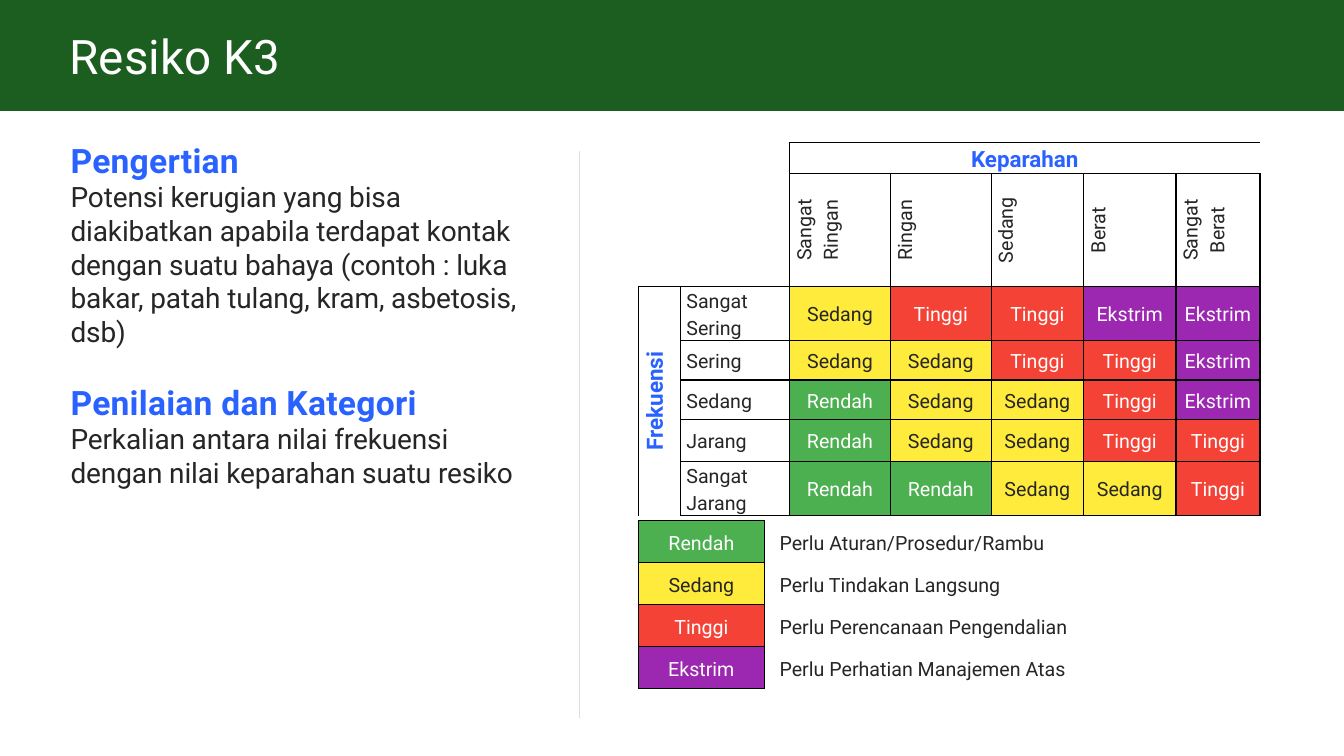
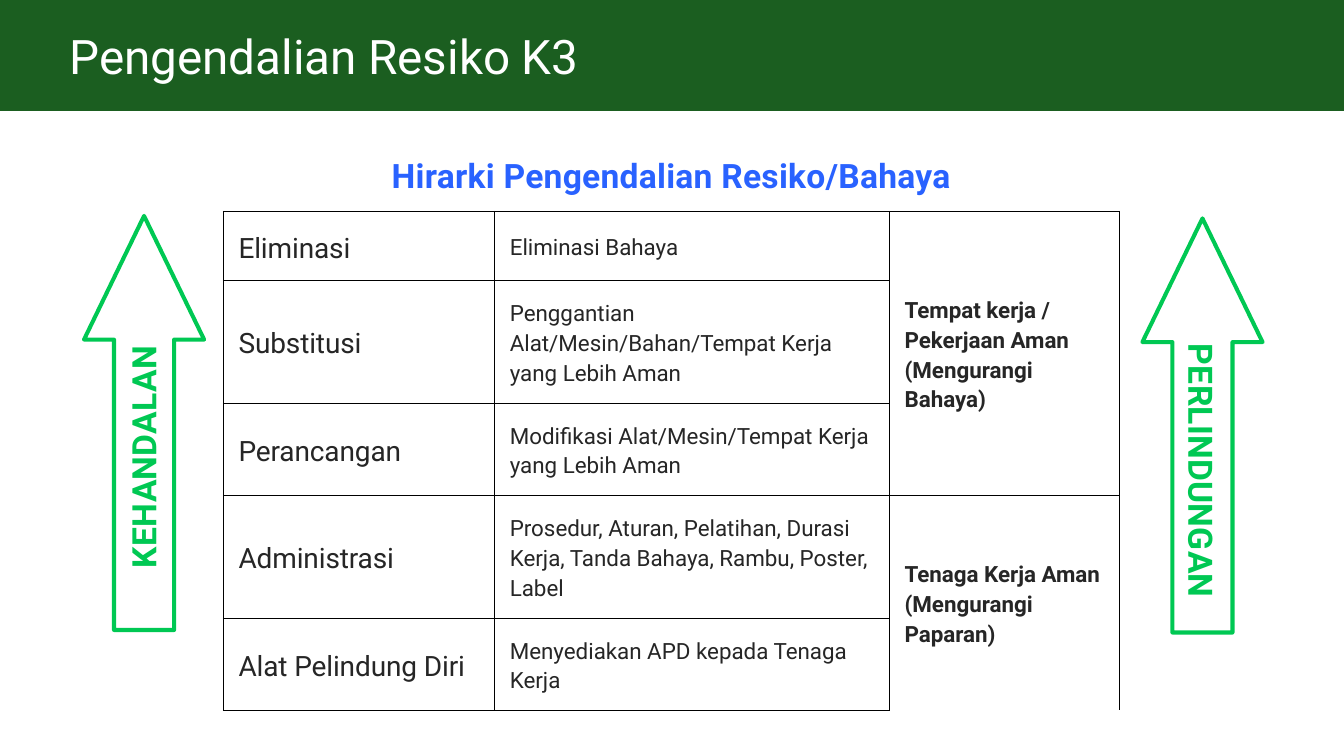
from dataclasses import dataclass

from lxml import etree
from pptx import Presentation
from pptx.dml.color import RGBColor
from pptx.enum.shapes import MSO_CONNECTOR, MSO_SHAPE
from pptx.enum.text import MSO_ANCHOR, MSO_AUTO_SIZE, PP_ALIGN
from pptx.oxml.ns import qn
from pptx.util import Inches, Pt

LEFT, MID = PP_ALIGN.LEFT, PP_ALIGN.CENTER
TOP, CENTER = MSO_ANCHOR.TOP, MSO_ANCHOR.MIDDLE
FIXED = MSO_AUTO_SIZE.NONE
RECT, ARROW = MSO_SHAPE.RECTANGLE, MSO_SHAPE.UP_ARROW
LINE = MSO_CONNECTOR.STRAIGHT
COLS, ROWS = 160, 90  # one grid step is 1/12 inch
PLAIN = "{2D5ABB26-0587-4C30-8999-92F81FD0307C}"  # table style without grid


@dataclass(frozen=True)
class Theme:
    font: str = "Roboto"
    band: str = "1B5E20"
    white: str = "FFFFFF"
    ink: str = "262626"
    blue: str = "2962FF"
    lime: str = "00C853"
    rule: str = "DDDDDD"
    edge: str = "000000"
    title: int = 34
    head: int = 24
    body: int = 20
    note: int = 16
    small: int = 14


T = Theme()
LEVELS = {  # risk level: fill, text colour, action
    "Rendah": ("4CAF50", T.white, "Perlu Aturan/Prosedur/Rambu"),
    "Sedang": ("FFEB3B", T.ink, "Perlu Tindakan Langsung"),
    "Tinggi": ("F44336", T.white, "Perlu Perencanaan Pengendalian"),
    "Ekstrim": ("9C27B0", T.white, "Perlu Perhatian Manajemen Atas"),
}
HEAD = dict(size=T.head, ink=T.blue, bold=True, track=0.2)
BODY = dict(size=T.body, track=-0.1)


def step(n):
    return Inches(n / 12)


def rgb(code):
    return RGBColor.from_string(code)


def put(frame, text, size=T.small, ink=T.ink, bold=False, align=LEFT,
        lead=None, gap=0, track=0, bare=False):
    """Append one paragraph per line of text; bare drops the list bullet."""
    for line in text.split("\n"):
        para = frame.paragraphs[0] if not frame.text else frame.add_paragraph()
        if bare:
            props = para._p.get_or_add_pPr()
            props.set("marL", "0")
            props.set("indent", "0")
            etree.SubElement(props, qn("a:buNone"))
        para.alignment = align
        para.space_before = Pt(gap)
        if lead:
            para.line_spacing = lead
        run = para.add_run()
        run.text = line
        font = run.font
        font.name, font.size, font.bold = T.font, Pt(size), bold
        font.color.rgb = rgb(ink)
        if track:
            run._r.get_or_add_rPr().set("spc", str(round(track * 100)))


def trim(frame):
    """Make a text frame wrap, with no insets and no fitting."""
    frame.word_wrap, frame.auto_size = True, FIXED
    frame.vertical_anchor = TOP
    frame.margin_left = frame.margin_right = 0
    frame.margin_top = frame.margin_bottom = 0
    return frame


def border(cell, sides):
    props = cell._tc.get_or_add_tcPr()
    for side in sides:
        line = etree.SubElement(props, qn("a:ln" + side), w=str(Pt(1)))
        fill = etree.SubElement(line, qn("a:solidFill"))
        etree.SubElement(fill, qn("a:srgbClr"), val=T.edge)


class Deck:
    def __init__(self):
        self.file = Presentation()
        self.file.slide_width, self.file.slide_height = step(COLS), step(ROWS)

    def page(self, title, layout):
        """Start a slide with its green band and title."""
        self.slide = self.file.slides.add_slide(self.file.slide_layouts[layout])
        band = self.shape(RECT, 0, 0, COLS, 13.2)
        band.fill.solid()
        band.fill.fore_color.rgb = rgb(T.band)
        band.line.fill.background()
        self.slide.shapes._spTree.insert(2, band._element)
        frame = self.place(self.slide.shapes.title, 8.3, 3.25, 149, 6.8)
        put(frame, title, size=T.title, ink=T.white)

    def place(self, box, x, y, w, h):
        box.left, box.top, box.width, box.height = map(step, (x, y, w, h))
        return trim(box.text_frame)

    def body(self, x, y, w, h):
        return self.place(self.slide.placeholders[1], x, y, w, h)

    def shape(self, kind, x, y, w, h):
        item = self.slide.shapes.add_shape(kind, *map(step, (x, y, w, h)))
        item.shadow.inherit = False
        return item

    def rule(self, x, top, end):
        line = self.slide.shapes.add_connector(
            LINE, step(x), step(top), step(x), step(end))
        line.line.color.rgb, line.line.width = rgb(T.rule), Pt(0.5)
        etree.SubElement(line._element.spPr, qn("a:effectLst"))

    def arrow(self, x, y):
        item = self.shape(ARROW, x, y, 14.3, 49.3)
        item.adjustments[0], item.adjustments[1] = 0.5, 1.03
        item.fill.background()
        item.line.color.rgb, item.line.width = rgb(T.lime), Pt(2.88)
        etree.SubElement(item.line._get_or_add_ln(), qn("a:round"))

    def label(self, text, turn, x, y, w, h):
        """Add turned text beside or inside an arrow."""
        box = self.slide.shapes.add_textbox(*map(step, (x, y, w, h)))
        frame = trim(box.text_frame)
        frame._txBody.bodyPr.set("vert", turn)
        put(frame, text, align=MID, lead=Pt(25.3), **{**HEAD, "ink": T.lime})

    def table(self, x, y, cols, rows):
        size = map(step, (x, y, sum(cols), sum(rows)))
        self.grid = self.slide.shapes.add_table(len(rows), len(cols), *size).table
        self.grid.first_row = self.grid.horz_banding = False
        self.grid._tbl.tblPr.find(qn("a:tableStyleId")).text = PLAIN
        for col, wide in zip(self.grid.columns, cols):
            col.width = step(wide)
        for row, high in zip(self.grid.rows, rows):
            row.height = step(high)

    def cell(self, row, col, text="", span=(1, 1), fill=None, lines=True,
             pad=(0.06, 0), turn=None, lead=1.15, **form):
        """Fill a cell; span is rows and columns, pad is side and top inset."""
        cell = self.grid.cell(row, col)
        end, last = row + span[0] - 1, col + span[1] - 1
        if span != (1, 1):
            cell.merge(self.grid.cell(end, last))
        for r in range(row, end + 1):
            for c in range(col, last + 1):
                outer = (("L", c == col), ("R", c == last),
                         ("T", r == row), ("B", r == end))
                if lines:
                    border(self.grid.cell(r, c), [s for s, on in outer if on])
        if fill:
            cell.fill.solid()
            cell.fill.fore_color.rgb = rgb(fill)
        else:
            cell.fill.background()
        cell.vertical_anchor = CENTER
        cell.margin_left = cell.margin_right = Inches(pad[0])
        cell.margin_top = cell.margin_bottom = Inches(pad[1])
        if turn:
            cell._tc.get_or_add_tcPr().set("vert", turn)
        put(cell.text_frame, text, lead=lead, **form)

    def level(self, row, col, name):
        fill, ink, _ = LEVELS[name]
        self.cell(row, col, name, fill=fill, ink=ink, align=MID)


def risk(deck):
    deck.page("Resiko K3", 1)
    frame = deck.body(8.4, 16.6, 54.6, 42)
    put(frame, "Pengertian", bare=True, **HEAD)
    put(frame, "Potensi kerugian yang bisa diakibatkan apabila terdapat kontak "
        "dengan suatu bahaya (contoh : luka bakar, patah tulang, kram, "
        "asbetosis, dsb)", bare=True, **BODY)
    put(frame, "Penilaian dan Kategori", gap=24, bare=True, **HEAD)
    put(frame, "Perkalian antara nilai frekuensi dengan nilai keparahan "
        "suatu resiko", bare=True, **BODY)
    deck.rule(69, 18, 85.5)

    axis = dict(size=T.note, ink=T.blue, bold=True, align=MID)
    deck.table(76, 17, (5, 13, 12, 12, 11, 11, 10),
               (3.7, 13.4, 6.45, 4.7, 4.7, 5, 6.45))
    deck.cell(0, 0, span=(2, 2), lines=False)
    deck.cell(0, 2, "Keparahan", span=(1, 5), **axis)
    deck.cell(2, 0, "Frekuensi", span=(5, 1), turn="vert270", **axis)
    harm = ("Sangat\nRingan", "Ringan", "Sedang", "Berat", "Sangat\nBerat")
    for col, name in enumerate(harm, 2):
        deck.cell(1, col, name, turn="vert270", align=MID)
    odds = {
        "Sangat Sering": "Sedang Tinggi Tinggi Ekstrim Ekstrim",
        "Sering": "Sedang Sedang Tinggi Tinggi Ekstrim",
        "Sedang": "Rendah Sedang Sedang Tinggi Ekstrim",
        "Jarang": "Rendah Sedang Sedang Tinggi Tinggi",
        "Sangat Jarang": "Rendah Rendah Sedang Sedang Tinggi",
    }
    for row, (name, marks) in enumerate(odds.items(), 2):
        deck.cell(row, 1, name)
        for col, mark in enumerate(marks.split(), 2):
            deck.level(row, col, mark)

    deck.table(76, 62, (15, 59), [5] * len(LEVELS))
    for row, (name, (_, _, act)) in enumerate(LEVELS.items()):
        deck.level(row, 0, name)
        deck.cell(row, 1, act, lines=False, pad=(0.15, 0.05))


def control(deck):
    deck.page("Pengendalian Resiko K3", 5)
    deck.arrow(10, 25.7)
    deck.label("KEHANDALAN", "vert270", 15.2, 38, 4.3, 32.8)
    deck.arrow(136, 26)
    deck.label("PERLINDUNGAN", "vert", 140.6, 38, 4.3, 36.1)

    pad = (0.15, 0.15)
    deck.table(26.6, 16.4, (32.3, 47, 27.4), (8.75, 8.2, 14.65, 10.95, 14.65, 10.95))
    deck.cell(0, 0, "Hirarki Pengendalian Resiko/Bahaya", span=(1, 3),
              lines=False, pad=pad, align=MID, lead=Pt(31.1), **HEAD)
    means = {
        "Eliminasi": "Eliminasi Bahaya",
        "Substitusi": "Penggantian Alat/Mesin/Bahan/Tempat Kerja yang Lebih Aman",
        "Perancangan": "Modifikasi Alat/Mesin/Tempat Kerja yang Lebih Aman",
        "Administrasi": "Prosedur, Aturan, Pelatihan, Durasi Kerja, "
                        "Tanda Bahaya, Rambu, Poster, Label",
        "Alat Pelindung Diri": "Menyediakan APD kepada Tenaga Kerja",
    }
    for row, (name, text) in enumerate(means.items(), 1):
        deck.cell(row, 0, name, pad=pad, **BODY)
        deck.cell(row, 1, text, pad=pad, size=T.note)
    goals = ((1, 3, "Tempat kerja / Pekerjaan Aman (Mengurangi Bahaya)"),
             (4, 2, "Tenaga Kerja Aman (Mengurangi Paparan)"))
    for row, high, text in goals:
        deck.cell(row, 2, text, span=(high, 1), pad=pad, size=T.note, bold=True)


def main():
    deck = Deck()
    risk(deck)
    control(deck)
    deck.file.save("out.pptx")


if __name__ == "__main__":
    main()
